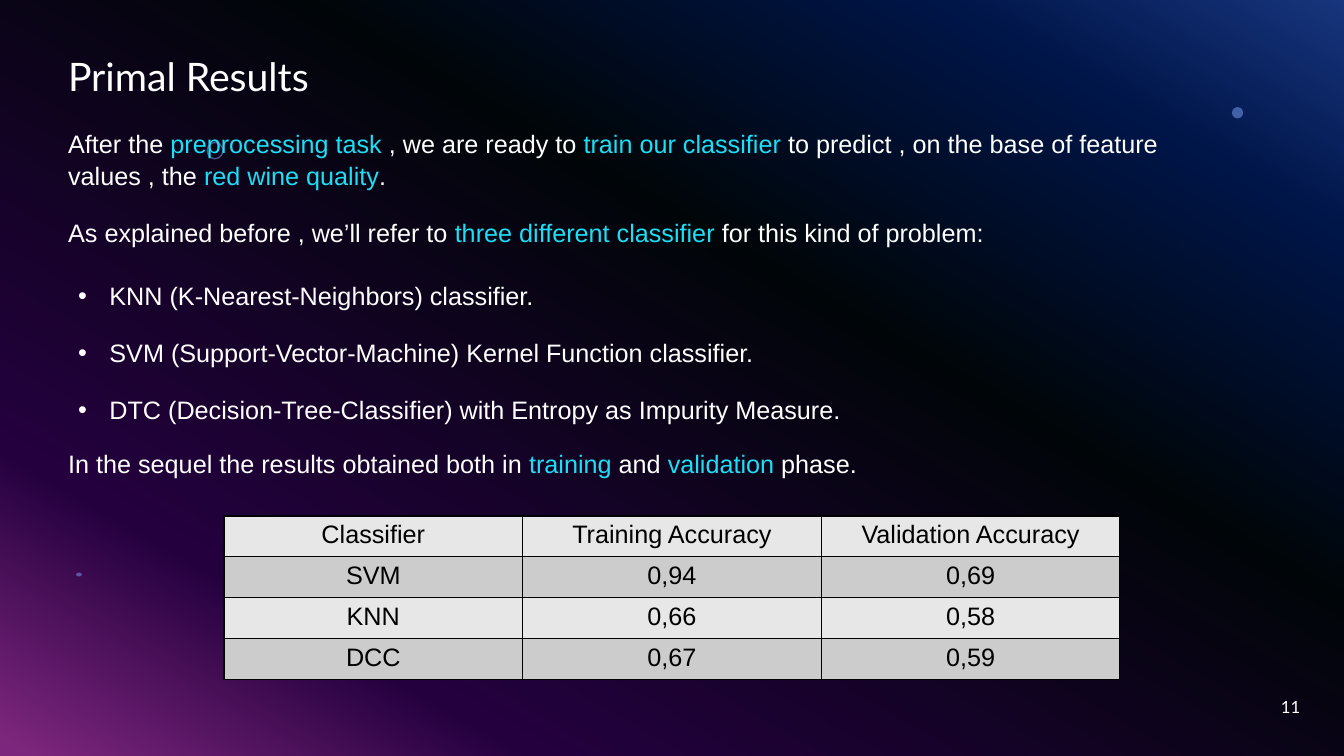
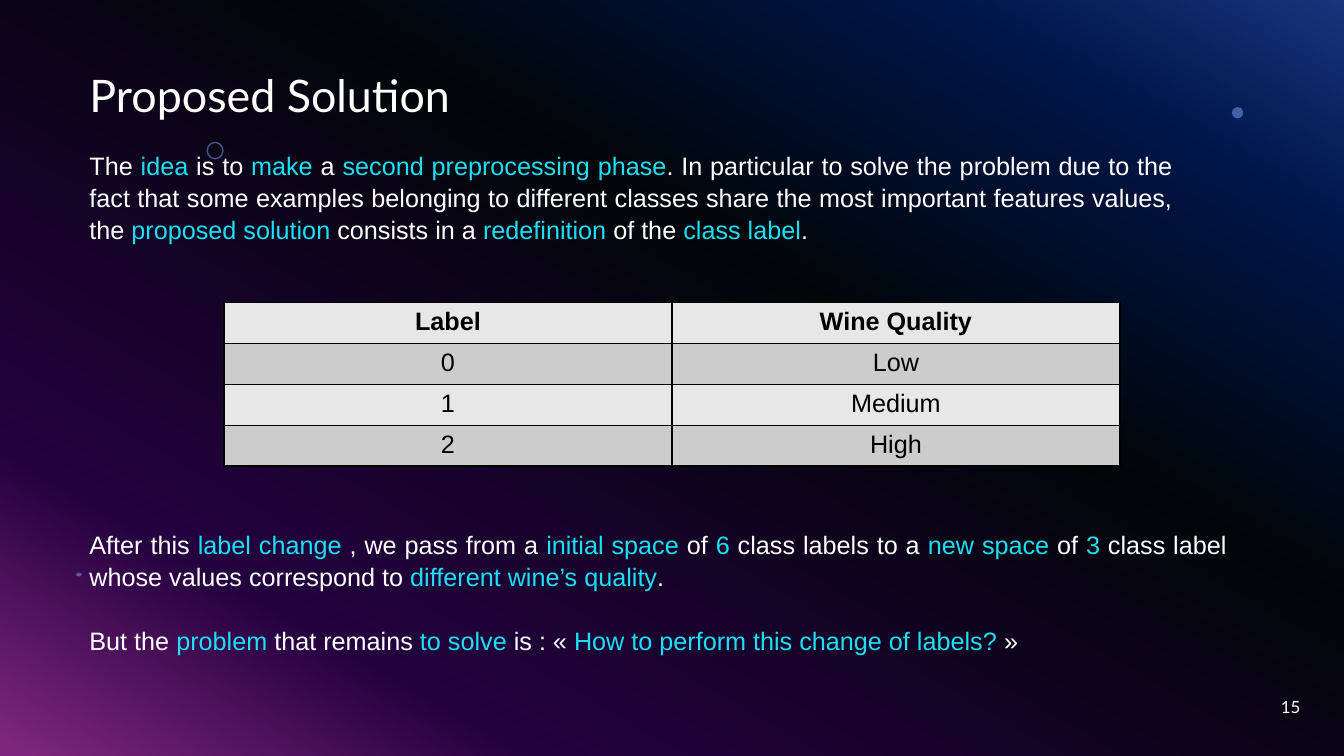
from dataclasses import dataclass

from lxml.etree import SubElement
from pptx import Presentation
from pptx.dml.color import RGBColor
from pptx.enum.shapes import MSO_SHAPE
from pptx.enum.text import MSO_ANCHOR, MSO_AUTO_SIZE, PP_ALIGN
from pptx.oxml.ns import qn
from pptx.util import Inches, Pt


@dataclass(frozen=True)
class Theme:
    heading_font: str = "Lato"
    body_font: str = "Arial"
    body_size: int = 18
    number_size: int = 12
    text: str = "FFFFFF"
    accent: str = "1CDFF5"
    dark: str = "000000"
    dot: str = "83A7FD"
    bands: tuple = ("E7E7E7", "CCCCCC")
    gradient: tuple = ((0, "316CFC"), (15, "022D94"), (39, "020C12"),
                       (80, "4A027F"), (99, "FC4EFB"))
    gradient_angle: int = 240
    line_spacing: float = 1.05


class Deck:
    """Slides on a grid of 12 columns by 12 rows."""

    GRID = 12

    def __init__(self, theme):
        self.theme = theme
        self.prs = Presentation()
        self.prs.slide_width, self.prs.slide_height = Inches(13.333), Inches(7.5)
        self.s = None

    def cols(self, n):
        return round(self.prs.slide_width * n / self.GRID)

    def rows(self, n):
        return round(self.prs.slide_height * n / self.GRID)

    def box(self, x, y, w, h):
        return self.cols(x), self.rows(y), self.cols(w), self.rows(h)

    def slide(self, number):
        self.s = self.prs.slides.add_slide(self.prs.slide_layouts[6])
        self.background()
        self.shape(MSO_SHAPE.RECTANGLE, (0, 0, 12, 12), fill=self.theme.dark, alpha=50)
        self.shape(MSO_SHAPE.OVAL, (11, 1.7, 0.1, 0.18), fill=self.theme.dot)
        self.shape(MSO_SHAPE.OVAL, (1.85, 2.26, 0.14, 0.26), line=self.theme.dot)
        self.shape(MSO_SHAPE.OVAL, (0.68, 9.09, 0.05, 0.06), fill=self.theme.dot)
        tf = self.text_frame(9, 10.9, 2.7, 0.64)
        tf.vertical_anchor = MSO_ANCHOR.MIDDLE
        p = tf.paragraphs[0]
        p.alignment = PP_ALIGN.RIGHT
        self.run(p, str(number), self.theme.number_size, self.theme.heading_font)

    def background(self):
        fill = self.s.background.fill
        fill.gradient()
        fill.gradient_angle = self.theme.gradient_angle
        stops = next(self.s.element.iter(qn("a:gsLst")))
        for stop in list(stops):
            stops.remove(stop)
        for pos, color in self.theme.gradient:
            stop = SubElement(stops, qn("a:gs"), pos=str(pos * 1000))
            SubElement(stop, qn("a:srgbClr"), val=color)

    def shape(self, kind, place, fill=None, line=None, alpha=49):
        sp = self.s.shapes.add_shape(kind, *self.box(*place))
        sp.shadow.inherit = False
        if fill:
            sp.fill.solid()
            sp.fill.fore_color.rgb = RGBColor.from_string(fill)
        else:
            sp.fill.background()
        if line:
            sp.line.color.rgb = RGBColor.from_string(line)
            sp.line.width = Pt(1)
        else:
            sp.line.fill.background()
        for color in sp.element.spPr.iter(qn("a:srgbClr")):
            SubElement(color, qn("a:alpha"), val=str(alpha * 1000))

    def text_frame(self, x, y, w, h):
        tf = self.s.shapes.add_textbox(*self.box(x, y, w, h)).text_frame
        tf.word_wrap = True
        return tf

    def run(self, p, text, size, font, color=None, bold=False):
        r = p.add_run()
        r.text = text
        r.font.size, r.font.name, r.font.bold = Pt(size), font, bold
        r.font.color.rgb = RGBColor.from_string(color or self.theme.text)

    def rich(self, p, text):
        """Add body runs; parts between asterisks take the accent colour."""
        p.line_spacing = self.theme.line_spacing
        for i, part in enumerate(text.split("*")):
            if part:
                self.run(p, part, self.theme.body_size, self.theme.body_font,
                         self.theme.accent if i % 2 else self.theme.text)

    def title(self, place, text, size):
        tf = self.text_frame(*place)
        tf.auto_size = MSO_AUTO_SIZE.SHAPE_TO_FIT_TEXT
        self.run(tf.paragraphs[0], text, size, self.theme.heading_font)

    def paragraph(self, place, text, align=PP_ALIGN.LEFT):
        tf = self.text_frame(*place)
        tf.auto_size = MSO_AUTO_SIZE.SHAPE_TO_FIT_TEXT
        p = tf.paragraphs[0]
        p.alignment = align
        self.rich(p, text)

    def bullets(self, place, items):
        tf = self.text_frame(*place)
        tf.auto_size = MSO_AUTO_SIZE.SHAPE_TO_FIT_TEXT
        indent = Inches(0.31)
        for i, item in enumerate(items):
            p = tf.add_paragraph() if i else tf.paragraphs[0]
            pPr = p._p.get_or_add_pPr()
            pPr.set("marL", str(indent))
            pPr.set("indent", str(-indent))
            SubElement(pPr, qn("a:buFont"), typeface=self.theme.body_font)
            SubElement(pPr, qn("a:buChar"), char="•")
            if i < len(items) - 1:
                p.space_after = Pt(18)
            self.rich(p, item)

    def table(self, y, data, bold_header=False):
        """Centred table, eight columns of the grid wide."""
        width, row_height = 8, 0.65
        place = self.box(2, y, width, row_height * len(data))
        table = self.s.shapes.add_table(len(data), len(data[0]), *place).table
        table.first_row = table.horz_banding = False
        for i, values in enumerate(data):
            table.rows[i].height = self.rows(row_height)
            for j, value in enumerate(values):
                cell = table.cell(i, j)
                self.borders(cell)
                cell.fill.solid()
                cell.fill.fore_color.rgb = RGBColor.from_string(self.theme.bands[i % 2])
                p = cell.text_frame.paragraphs[0]
                p.alignment = PP_ALIGN.CENTER
                self.run(p, value, self.theme.body_size, self.theme.body_font,
                         self.theme.dark, bold_header and i == 0)

    def borders(self, cell):
        tcPr = cell._tc.get_or_add_tcPr()
        for side in "LRTB":
            ln = SubElement(tcPr, qn(f"a:ln{side}"), w=str(Pt(1)))
            SubElement(SubElement(ln, qn("a:solidFill")), qn("a:srgbClr"),
                       val=self.theme.dark)


def primal_results(deck):
    left = 0.52
    deck.slide(11)
    deck.title((left, 0.75, 10.37, 0.92), "Primal Results", 28)
    deck.paragraph(
        (left, 1.94, 10.37, 1.14),
        "After the *preprocessing task *, we are ready to *train our classifier *"
        "to predict , on the base of feature values , the *red wine quality*.")
    deck.paragraph(
        (left, 3.34, 10.03, 0.64),
        "As explained before , we’ll refer to *three different classifier *"
        "for this kind of problem:")
    deck.bullets((0.61, 4.35, 7.76, 2.42), [
        "KNN (K-Nearest-Neighbors) classifier.",
        "SVM (Support-Vector-Machine) Kernel Function classifier.",
        "DTC (Decision-Tree-Classifier) with Entropy as Impurity Measure."])
    deck.paragraph(
        (left, 7.02, 10.22, 0.64),
        "In the sequel the results obtained both in *training *and *validation *phase.")
    deck.table(8.19, [("Classifier", "Training Accuracy", "Validation Accuracy"),
                      ("SVM", "0,94", "0,69"),
                      ("KNN", "0,66", "0,58"),
                      ("DCC", "0,67", "0,59")])


def proposed_solution(deck):
    left = 0.71
    deck.slide(15)
    deck.title((left, 1, 10.58, 1.02), "Proposed Solution", 32)
    deck.paragraph(
        (left, 2.29, 9.85, 1.62),
        "The *idea *is to *make* a *second preprocessing phase*. In particular to solve "
        "the problem due to the fact that some examples belonging to different classes "
        "share the most important features values, the *proposed solution *consists in a "
        "*redefinition* of the *class label*.", PP_ALIGN.JUSTIFY)
    deck.table(4.8, [("Label", "Wine Quality"), ("0", "Low"), ("1", "Medium"),
                     ("2", "High")], bold_header=True)
    deck.paragraph(
        (left, 8.3, 10.33, 1.14),
        "After this *label change *, we pass from a *initial space* of *6* class labels "
        "to a *new space *of *3* class label whose values correspond to "
        "*different wine’s quality*.", PP_ALIGN.JUSTIFY)
    deck.paragraph(
        (left, 9.82, 10.12, 0.64),
        "But the *problem *that remains *to solve *is : « "
        "*How to perform this change of labels?* »")


def main():
    deck = Deck(Theme())
    primal_results(deck)
    proposed_solution(deck)
    deck.prs.save("out.pptx")


if __name__ == "__main__":
    main()
